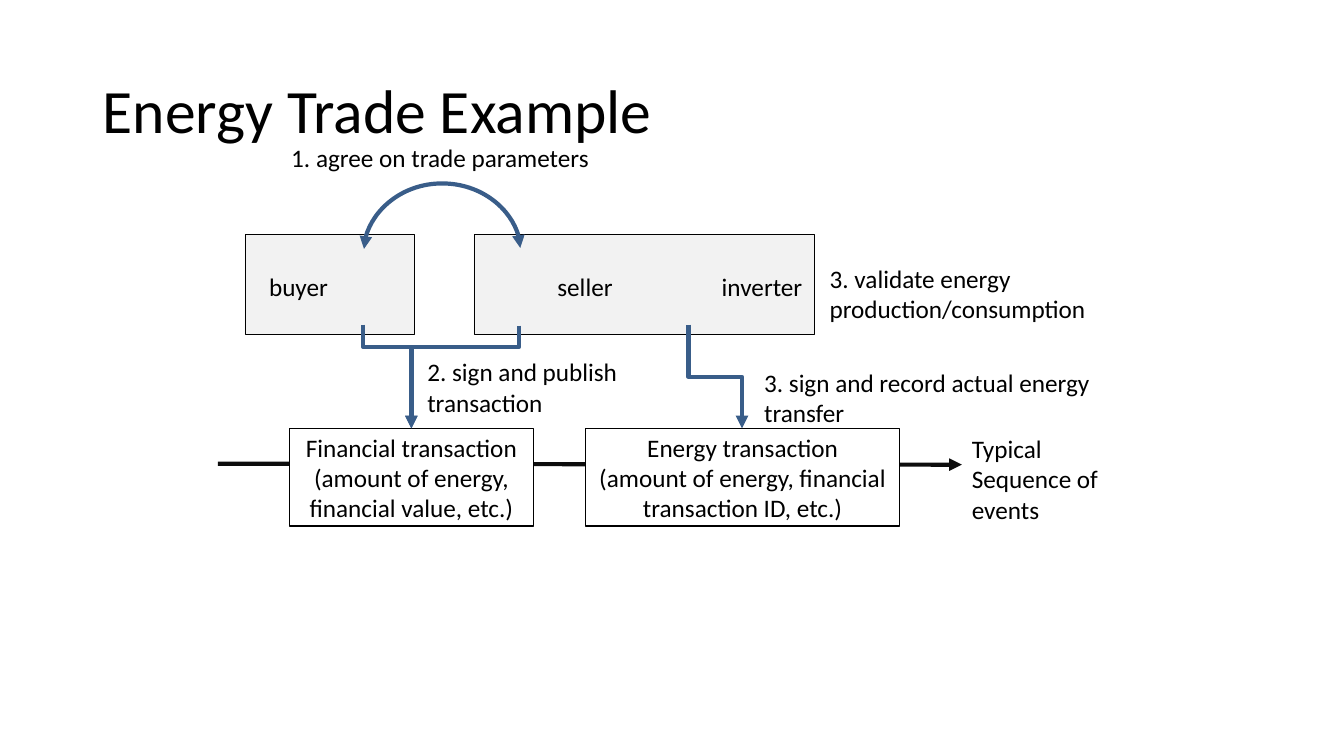
from dataclasses import dataclass

from pptx import Presentation
from pptx import util as u
from pptx.dml.color import RGBColor
from pptx.enum import shapes, text
from pptx.oxml.ns import qn
from lxml import etree


@dataclass(frozen=True)
class Theme:
    font: str = "Calibri"
    title_size: int = 44
    body_size: int = 18
    ink: str = "000000"
    paper: str = "FFFFFF"
    party: str = "F2F2F2"
    flow: str = "395D89"
    timeline: str = "0D0D0D"
    arrow_width: int = 3


def apply_format(target, values):
    for name, value in values.items():
        setattr(target, name, value)


class TradeSlide:
    def __init__(self, presentation, theme):
        self.theme = theme
        self.slide = presentation.slides.add_slide(presentation.slide_layouts[6])

    def fill_text(self, frame, lines, size, paragraph_format):
        font_format = {"name": self.theme.font, "size": u.Pt(size)}
        for index, line in enumerate(lines):
            paragraph = frame.paragraphs[0] if index == 0 else frame.add_paragraph()
            paragraph.text = line
            apply_format(paragraph, paragraph_format)
            apply_format(paragraph.font, font_format)
            paragraph.font.color.rgb = RGBColor.from_string(self.theme.ink)

    def title(self, content, place):
        frame = self.slide.shapes.add_textbox(*map(u.Inches, place)).text_frame
        apply_format(frame, {"word_wrap": True,
                             "vertical_anchor": text.MSO_ANCHOR.MIDDLE})
        self.fill_text(frame, [content], self.theme.title_size, {"line_spacing": 0.9})

    def label(self, content, place, wrap=False):
        frame = self.slide.shapes.add_textbox(*map(u.Inches, place)).text_frame
        apply_format(frame, {"word_wrap": wrap,
                             "auto_size": text.MSO_AUTO_SIZE.SHAPE_TO_FIT_TEXT})
        self.fill_text(frame, [content], self.theme.body_size, {})

    def box(self, place, fill, line_width, lines=()):
        shape = self.slide.shapes.add_shape(
            shapes.MSO_SHAPE.RECTANGLE, *map(u.Inches, place))
        shape.shadow.inherit = False
        shape.fill.solid()
        shape.fill.fore_color.rgb = RGBColor.from_string(fill)
        shape.line.color.rgb = RGBColor.from_string(self.theme.ink)
        shape.line.width = u.Pt(line_width)
        apply_format(shape.text_frame, {"word_wrap": True,
                                        "vertical_anchor": text.MSO_ANCHOR.MIDDLE})
        self.fill_text(shape.text_frame, lines, self.theme.body_size,
                       {"alignment": text.PP_ALIGN.CENTER})

    def arrow(self, kind, start, end, color, heads=("tailEnd",)):
        connector = self.slide.shapes.add_connector(
            kind, *map(u.Inches, (*start, *end)))
        connector.line.color.rgb = RGBColor.from_string(color)
        connector.line.width = u.Pt(self.theme.arrow_width)
        properties = connector._element.spPr
        for head in heads:
            etree.SubElement(properties.find(qn("a:ln")), qn(f"a:{head}"),
                             type="triangle")
        etree.SubElement(properties, qn("a:effectLst"))
        return connector

    def vertical_arrow(self, kind, start, end, turn, heads=("tailEnd",)):
        """Leave start vertically, cross over at height turn, reach end vertically."""
        connector = self.arrow(kind, start, end, self.theme.flow, heads)
        run, drop = end[0] - start[0], end[1] - start[1]
        width, height = abs(drop), abs(run)
        # The frame lies sideways around the midpoint and is then rotated
        apply_format(connector, {
            "left": u.Inches((start[0] + end[0] - width) / 2),
            "top": u.Inches((start[1] + end[1] - height) / 2),
            "width": u.Inches(width),
            "height": u.Inches(height),
        })
        frame = connector._element.spPr.find(qn("a:xfrm"))
        rightward, upward = run > 0, drop < 0
        angle = 270 if rightward and not upward else 90
        for name, value in {"rot": angle * 60000, "flipH": int(rightward),
                            "flipV": int(upward)}.items():
            frame.set(name, str(value))
        guides = connector._element.spPr.find(qn("a:prstGeom")).find(qn("a:avLst"))
        share = round((turn - start[1]) / drop * 100000)
        etree.SubElement(guides, qn("a:gd"), name="adj1", fmla=f"val {share}")


def main():
    presentation = Presentation()
    apply_format(presentation, {"slide_width": u.Inches(13.33),
                                "slide_height": u.Inches(7.5)})
    theme = Theme()
    trade = TradeSlide(presentation, theme)
    connector_type = shapes.MSO_CONNECTOR

    # Trading parties
    party_top, party_height = 2.33, 0.99
    for left, width in ((4.7, 3.38), (2.43, 1.68)):
        trade.box((left, party_top, width, party_height), theme.party, 0.5)

    trade.title("Energy Trade Example", (0.92, 0.4, 11.5, 1.45))

    # Timeline runs behind the transactions
    trade.arrow(connector_type.STRAIGHT, (2.16, 4.6), (9.54, 4.61), theme.timeline)
    trade.label("Typical Sequence of events", (9.54, 4.25, 1.88, 1.01), wrap=True)

    # Party names
    for name, left, width in (("buyer", 2.57, 0.79), ("seller", 5.43, 0.76),
                              ("inverter", 7.06, 1.01)):
        trade.label(name, (left, 2.64, width, 0.4))

    # Agreement between buyer and seller
    trade.vertical_arrow(connector_type.CURVE, (3.61, 2.47), (5.16, 2.46), 1.81,
                         heads=("headEnd", "tailEnd"))

    # Transactions
    transaction_top, transaction_height = 4.25, 0.97
    for left, width, lines in (
        (2.87, 2.42, ("Financial transaction",
                      "(amount of energy, financial value, etc.)")),
        (5.81, 3.11, ("Energy transaction",
                      "(amount of energy, financial transaction ID, etc.)")),
    ):
        trade.box((left, transaction_top, width, transaction_height),
                  theme.paper, 1, lines)

    # Flows from the parties into the transactions
    for start, target, turn in (((3.6, 3.22), 4.08, 3.44),
                                ((5.15, 3.23), 4.08, 3.44),
                                ((6.83, 3.22), 7.36, 3.74)):
        trade.vertical_arrow(connector_type.ELBOW, start,
                             (target, transaction_top), turn)

    # Step labels
    for content, place, wrap in (
        ("1. agree on trade parameters", (2.79, 1.36, 3.19, 0.4), False),
        ("2. sign and publish transaction", (4.14, 3.49, 2.1, 0.71), True),
        ("3. validate energy \nproduction/consumption", (8.13, 2.56, 2.83, 0.71), False),
        ("3. sign and record actual energy transfer", (7.48, 3.59, 3.92, 0.71), True),
    ):
        trade.label(content, place, wrap)

    presentation.save("out.pptx")


if __name__ == "__main__":
    main()
